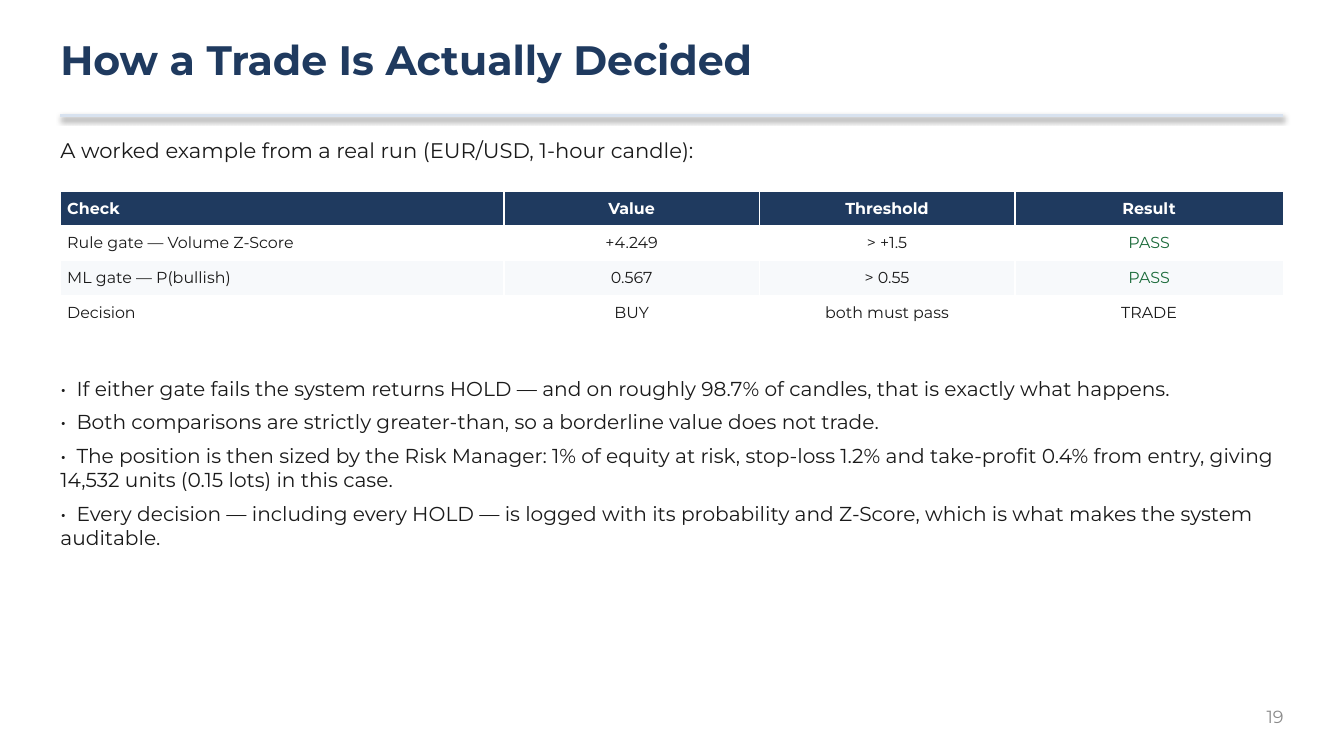
from pptx import Presentation
from pptx.dml.color import RGBColor
from pptx.enum.shapes import MSO_CONNECTOR
from pptx.enum.text import MSO_ANCHOR, MSO_AUTO_SIZE, PP_ALIGN as ALIGN
from pptx.oxml.xmlchemy import OxmlElement
from pptx.util import Inches, Pt

FONT = "Montserrat"
NAVY, INK, GREEN, GREY = "1F3A5F", "1A1A1A", "1B6B3A", "8A8A8A"
WHITE, BAND, RULE = "FFFFFF", "F7F9FB", "D8E2EF"
LEFT, WIDTH = 0.45, 9.1
COLUMN_WIDTHS = [3.3, 1.9, 1.9, 2]
ROW_HEIGHT = 0.26
BULLET_GAP = 0.12

CHECKS = [
    ["Check", "Value", "Threshold", "Result"],
    ["Rule gate — Volume Z-Score", "+4.249", "> +1.5", "PASS"],
    ["ML gate — P(bullish)", "0.567", "> 0.55", "PASS"],
    ["Decision", "BUY", "both must pass", "TRADE"],
]
NOTES = [
    "If either gate fails the system returns HOLD — and on roughly 98.7% of candles, "
    "that is exactly what happens.",
    "Both comparisons are strictly greater-than, so a borderline value does not trade.",
    "The position is then sized by the Risk Manager: 1% of equity at risk, stop-loss 1.2% "
    "and take-profit 0.4% from entry, giving 14,532 units (0.15 lots) in this case.",
    "Every decision — including every HOLD — is logged with its probability and Z-Score, "
    "which is what makes the system auditable.",
]


def color(value):
    return RGBColor.from_string(value)


def write(para, text, size, ink=INK, bold=False, align=ALIGN.LEFT):
    para.alignment = align
    span = para.add_run()
    span.text = text
    span.font.name = FONT
    span.font.size = Pt(size)
    span.font.bold = bold
    span.font.color.rgb = color(ink)


def add_tab_stop(para, position):
    stops = OxmlElement("a:tabLst")
    stop = OxmlElement("a:tab")
    stop.set("pos", str(Inches(position)))
    stop.set("algn", "l")
    stops.append(stop)
    para._p.get_or_add_pPr().append(stops)


def add_text(page, lines, left, top, width, height, tab=None, space_after=0, **style):
    box = page.shapes.add_textbox(Inches(left), Inches(top), Inches(width), Inches(height))
    frame = box.text_frame
    frame.word_wrap = True
    frame.auto_size = MSO_AUTO_SIZE.SHAPE_TO_FIT_TEXT
    frame.margin_left = frame.margin_right = frame.margin_top = frame.margin_bottom = 0
    for index, line in enumerate(lines):
        para = frame.add_paragraph() if index else frame.paragraphs[0]
        if tab:
            add_tab_stop(para, tab)
        para.space_after = Pt(space_after)
        write(para, line, **style)


def add_rule(page, top):
    """Draw the title rule, keeping the theme's soft connector shadow."""
    rule = page.shapes.add_connector(
        MSO_CONNECTOR.STRAIGHT, Inches(LEFT), Inches(top), Inches(LEFT + WIDTH), Inches(top))
    rule.line.color.rgb = color(RULE)
    rule.line.width = Pt(1.5)


def fill_cell(cell, text, row, column):
    header = row == 0
    cell.fill.solid()
    cell.fill.fore_color.rgb = color(NAVY if header else WHITE if row % 2 else BAND)
    cell.vertical_anchor = MSO_ANCHOR.MIDDLE
    cell.margin_left = cell.margin_right = Inches(0.05)
    cell.margin_top = cell.margin_bottom = Inches(0.02)
    ink = WHITE if header else GREEN if text == "PASS" else INK
    write(cell.text_frame.paragraphs[0], text, 8.5, ink, bold=header,
          align=ALIGN.CENTER if column else ALIGN.LEFT)


def add_checks(page, top):
    """Add the table; its default style supplies the white cell borders."""
    table = page.shapes.add_table(
        len(CHECKS), len(COLUMN_WIDTHS), Inches(LEFT), Inches(top),
        Inches(WIDTH), Inches(ROW_HEIGHT * len(CHECKS))).table
    for column, width in zip(table.columns, COLUMN_WIDTHS):
        column.width = Inches(width)
    for row, texts in enumerate(CHECKS):
        table.rows[row].height = Inches(ROW_HEIGHT)
        for column, text in enumerate(texts):
            fill_cell(table.cell(row, column), text, row, column)


def main():
    deck = Presentation()
    deck.slide_width, deck.slide_height = Inches(10), Inches(10 * 9 / 16)
    page = deck.slides.add_slide(deck.slide_layouts[6])

    add_text(page, ["How a Trade Is Actually Decided"], LEFT, 0.26, WIDTH, 0.5,
             size=22, ink=NAVY, bold=True)
    add_rule(page, 0.86)
    add_text(page, ["19"], 9.15, 5.25, 0.4, 0.25, size=9.4, ink=GREY, align=ALIGN.RIGHT)
    add_text(page, ["A worked example from a real run (EUR/USD, 1-hour candle):"],
             LEFT, 1.02, WIDTH, 0.3, size=11.3)
    add_checks(page, 1.42)
    add_text(page, [f"•\t{note}" for note in NOTES], LEFT, 2.8, WIDTH, 2.52,
             tab=BULLET_GAP, space_after=5, size=10.8)

    deck.save("out.pptx")


if __name__ == "__main__":
    main()
